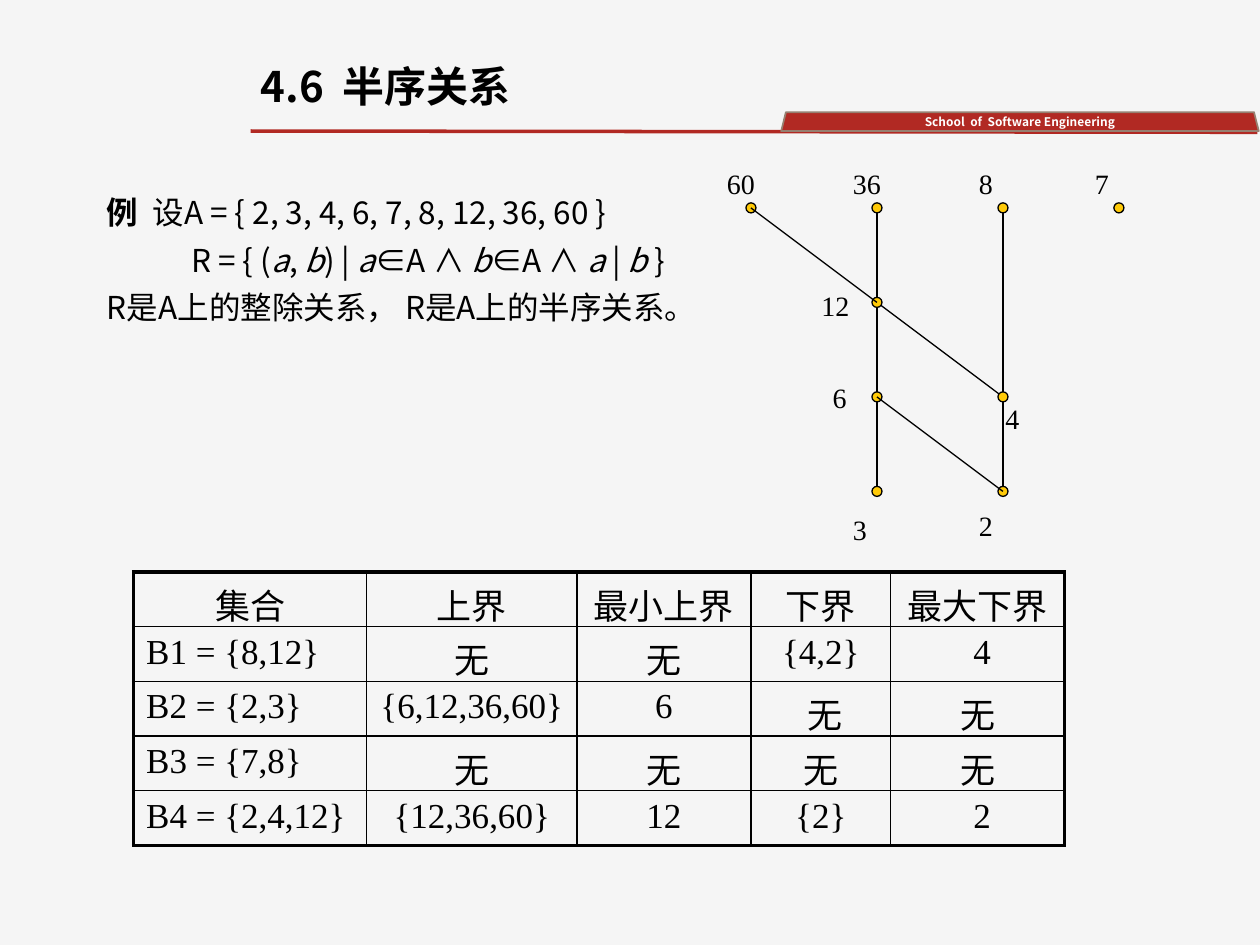
import dataclasses
import math
import typing

import pptx
import pptx.dml.color
import pptx.enum.shapes
import pptx.enum.text
import pptx.oxml
import pptx.oxml.ns
import pptx.util

In, Pt = pptx.util.Inches, pptx.util.Pt
ALIGN = pptx.enum.text.PP_ALIGN


@dataclasses.dataclass(frozen=True)
class Theme:
    paper: str = "F5F5F5"
    ink: str = "000000"
    white: str = "FFFFFF"
    red: str = "B12923"
    edge: str = "968071"
    dot: str = "FFCA08"
    sans: str = "Noto Sans CJK SC"
    serif: str = "Times New Roman"
    banner: float = 6.8
    title: float = 24
    body: float = 18
    label: float = 16
    cell: float = 20
    thin: float = 0.75
    rule: float = 1
    frame: float = 2.25


T = Theme()


class Run(typing.NamedTuple):
    text: str
    bold: bool = False
    italic: bool = False


class Node(typing.NamedTuple):
    name: str
    col: float
    row: float
    dx: float = -0.29  # label box offset from the dot's centre
    dy: float = -0.38


class Edge(typing.NamedTuple):
    a: str
    b: str
    trim: bool = True  # stop at the rim of both dots


def color(hex_: str) -> pptx.dml.color.RGBColor:
    return pptx.dml.color.RGBColor.from_string(hex_)


def add_run(p, run: Run, font: str, size: float, ink: str = T.ink) -> None:
    r = p.add_run()
    r.text = run.text
    f = r.font
    f.name, f.size, f.bold, f.italic = font, Pt(size), run.bold, run.italic
    f.color.rgb = color(ink)
    if font == T.sans:
        ea = r._r.get_or_add_rPr().makeelement(pptx.oxml.ns.qn("a:ea"), {"typeface": font})
        f._rPr.find(pptx.oxml.ns.qn("a:latin")).addnext(ea)


def add_text(s, x: float, y: float, w: float, h: float):
    tf = s.shapes.add_textbox(In(x), In(y), In(w), In(h)).text_frame
    tf.word_wrap = True
    return tf


def add_paragraph(tf, runs: list[Run], size: float, first: bool, indent: float = 0) -> None:
    p = tf.paragraphs[0] if first else tf.add_paragraph()
    p.line_spacing, p.space_before = 0.9, Pt(7.5)
    if indent:
        p._p.get_or_add_pPr().set("marL", str(In(indent)))
    for run in runs:
        add_run(p, run, T.sans, size)


def add_shape(s, kind, x: float, y: float, w: float, h: float, fill: str, line: str, pt: float):
    sp = s.shapes.add_shape(kind, In(x), In(y), In(w), In(h))
    sp.shadow.inherit = False
    sp.fill.solid()
    sp.fill.fore_color.rgb = color(fill)
    sp.line.color.rgb, sp.line.width = color(line), Pt(pt)
    return sp


def add_line(s, x1: float, y1: float, x2: float, y2: float, ink: str, pt: float) -> None:
    c = s.shapes.add_connector(pptx.enum.shapes.MSO_CONNECTOR.STRAIGHT,
                               In(x1), In(y1), In(x2), In(y2))
    c.line.color.rgb, c.line.width = color(ink), Pt(pt)
    sp_pr = c._element.spPr
    sp_pr.append(sp_pr.makeelement(pptx.oxml.ns.qn("a:effectLst"), {}))


# Hasse diagram: unit columns, 0.75 in rows
LEFT, TOP, COL, ROW, RADIUS = 5.96, 1.65, 1, 0.75, 0.04
NODES = [
    Node("60", 0, 0), Node("36", 1, 0), Node("8", 2, 0), Node("7", 2.92, 0),
    Node("12", 1, 1, -0.54, -0.16), Node("4", 2, 2, -0.08, -0.01),
    Node("6", 1, 2, -0.45, -0.18), Node("3", 1, 3, -0.29, 0.12),
    Node("2", 2, 3, -0.29, 0.09),
]
EDGES = [
    Edge("60", "12", False), Edge("36", "12"), Edge("12", "6"), Edge("6", "3"),
    Edge("8", "4"), Edge("4", "2"), Edge("12", "4"), Edge("6", "2", False),
]


def add_hasse(s) -> None:
    at = {n.name: (LEFT + n.col * COL, TOP + n.row * ROW) for n in NODES}
    for x, y in at.values():
        add_shape(s, pptx.enum.shapes.MSO_SHAPE.OVAL, x - RADIUS, y - RADIUS,
                  2 * RADIUS, 2 * RADIUS, T.dot, T.ink, T.thin)
    for e in EDGES:
        (x1, y1), (x2, y2) = at[e.a], at[e.b]
        k = RADIUS / math.dist(at[e.a], at[e.b]) if e.trim else 0
        dx, dy = k * (x2 - x1), k * (y2 - y1)
        add_line(s, x1 + dx, y1 + dy, x2 - dx, y2 - dy, T.ink, T.thin)
    for n in NODES:
        x, y = at[n.name]
        tf = add_text(s, x + n.dx, y + n.dy, 0.58, 0.37)
        add_run(tf.paragraphs[0], Run(n.name), T.serif, T.label)


# Table of bounds
COLS = [1.85, 1.67, 1.38, 1.11, 1.38]
ROWS = [
    ["集合", "上界", "最小上界", "下界", "最大下界"],
    ["B1 = {8,12}", "无", "无", "{4,2}", " 4"],
    ["B2 = {2,3}", "{6,12,36,60}", " 6 ", " 无", "无"],
    ["B3 = {7,8}", "无", "无", "无", "无"],
    ["B4 = {2,4,12}", "{12,36,60}", "12", "{2}", " 2"],
]


def add_border(cell, side: str, pt: float) -> None:
    ns = pptx.oxml.ns.nsdecls("a")
    cell._tc.get_or_add_tcPr().append(pptx.oxml.parse_xml(
        f'<a:ln{side} {ns} w="{Pt(pt)}"><a:solidFill><a:srgbClr val="{T.ink}"/>'
        f'</a:solidFill></a:ln{side}>'))


def add_bounds(s) -> None:
    height = 2.17
    tbl = s.shapes.add_table(len(ROWS), len(COLS), In(1.06), In(4.54),
                             In(sum(COLS)), In(height)).table
    tbl.first_row = tbl.horz_banding = False
    for column, w in zip(tbl.columns, COLS):
        column.width = In(w)
    for i, row in enumerate(ROWS):
        tbl.rows[i].height = In(height / len(ROWS))
        for j, text in enumerate(row):
            cell = tbl.cell(i, j)
            p = cell.text_frame.paragraphs[0]
            p.alignment = ALIGN.LEFT if i and not j else ALIGN.CENTER
            add_run(p, Run(text), T.serif, T.cell)
            outer = {"L": j == 0, "R": j == len(COLS) - 1,
                     "T": i == 0, "B": i == len(ROWS) - 1}
            for side, is_outer in outer.items():
                add_border(cell, side, T.frame if is_outer else T.rule)
            cell.fill.background()


def main() -> None:
    prs = pptx.Presentation()
    prs.slide_width, prs.slide_height = In(10), In(7.5)
    s = prs.slides.add_slide(prs.slide_layouts[6])
    s.background.fill.solid()
    s.background.fill.fore_color.rgb = color(T.paper)

    # Header rule and banner
    add_line(s, 1.99, 1.04, 9.98, 1.05, T.red, 2)
    sp = add_shape(s, pptx.enum.shapes.MSO_SHAPE.TRAPEZOID, 6.2, 0.89, 3.79, 0.15,
                   T.red, T.edge, 1)
    tf = sp.text_frame
    tf.margin_top = tf.margin_bottom = 0
    tf.vertical_anchor = pptx.enum.text.MSO_ANCHOR.MIDDLE
    tf.paragraphs[0].alignment = ALIGN.CENTER
    add_run(tf.paragraphs[0], Run("School  of  Software Engineering", True),
            T.sans, T.banner, T.white)

    # Title and example
    add_paragraph(add_text(s, 1.97, 0.48, 4.55, 0.56), [Run("4.6  半序关系", True)],
                  T.title, True)
    a, b = Run("a", italic=True), Run("b", italic=True)
    tf = add_text(s, 0.75, 1.52, 8.92, 5.21)
    add_paragraph(tf, [Run("例  ", True), Run("设A = { 2, 3, 4, 6, 7, 8, 12, 36, 60 }")],
                  T.body, True)
    add_paragraph(tf, [Run("R = { ("), a, Run(", "), b, Run(") | "), a, Run("∈A ∧ "), b,
                       Run("∈A ∧ "), a, Run(" | "), b, Run(" }")], T.body, False, 0.67)
    add_paragraph(tf, [Run("R是A上的整除关系， R是A上的半序关系。")], T.body, False)

    add_hasse(s)
    add_bounds(s)
    prs.save("out.pptx")


if __name__ == "__main__":
    main()
